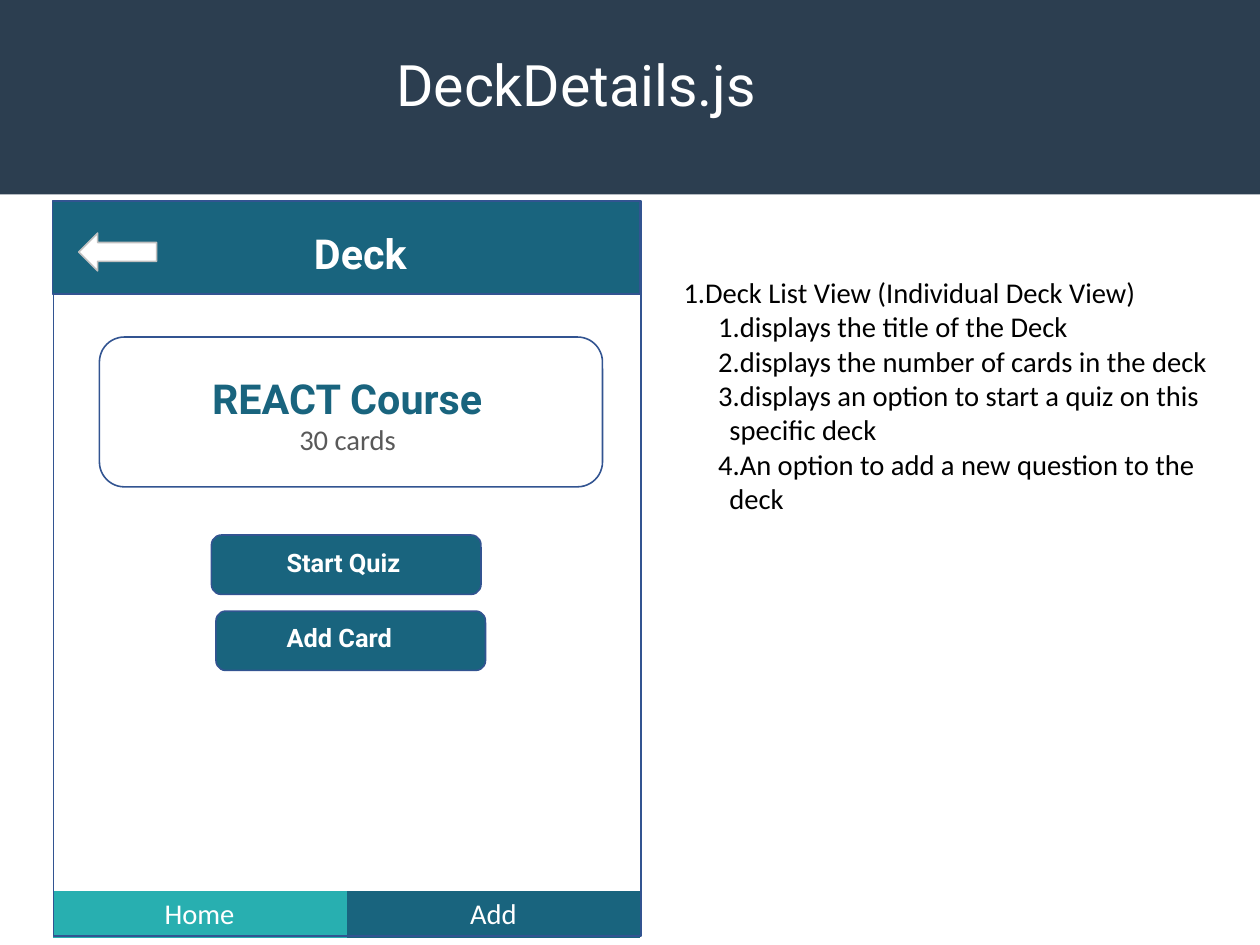
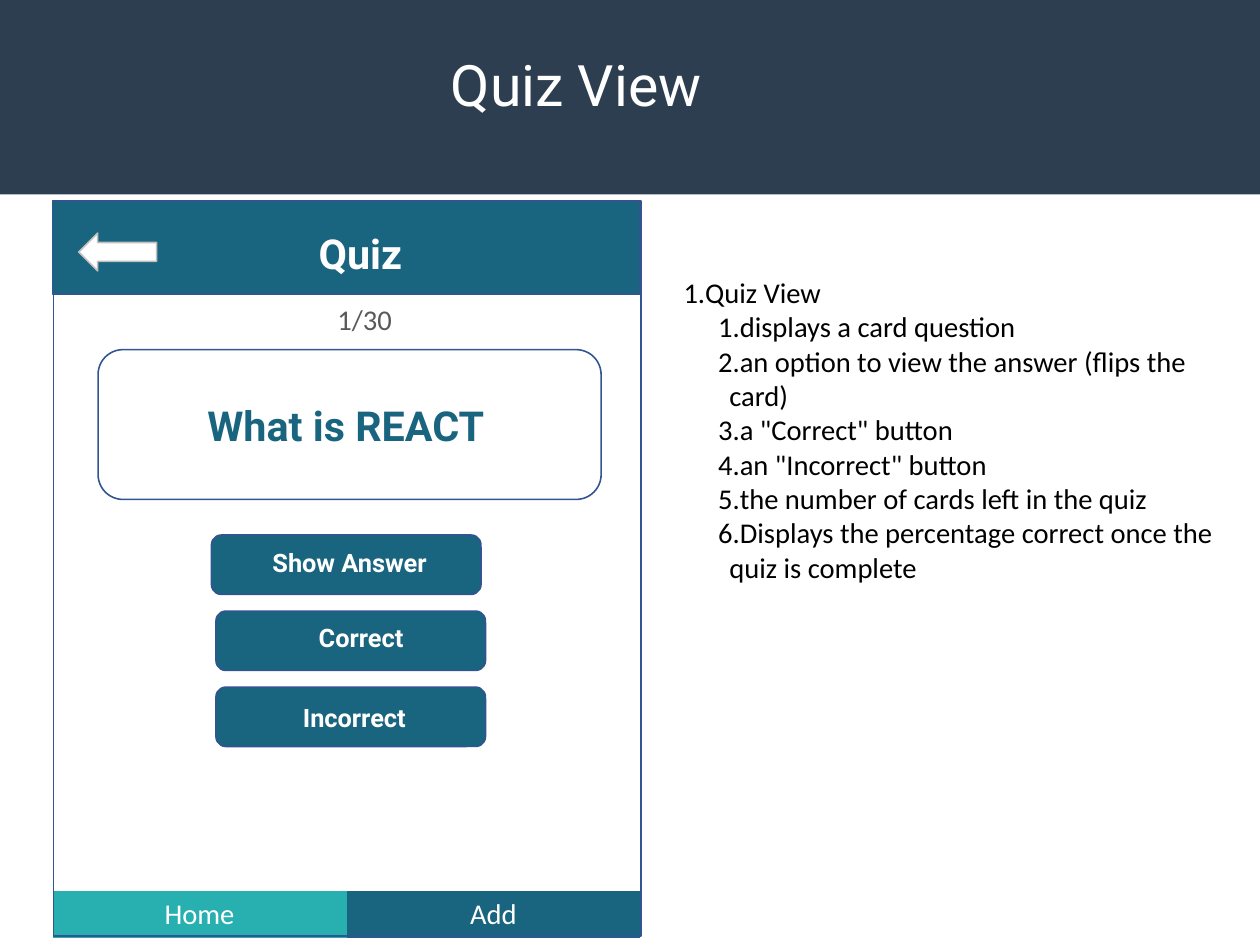
from dataclasses import dataclass

from pptx import Presentation
from pptx.dml.color import RGBColor
from pptx.enum.shapes import MSO_SHAPE as Preset
from pptx.enum.text import MSO_ANCHOR as Anchor, PP_ALIGN as Align
from pptx.oxml.ns import qn
from pptx.util import Cm, Pt

# Colours and fonts
NAVY = RGBColor(0x2C, 0x3E, 0x50)
TEAL = RGBColor(0x19, 0x64, 0x7E)
MINT = RGBColor(0x28, 0xAF, 0xB0)
BLUE = RGBColor(0x32, 0x54, 0x91)
GRAY = RGBColor(0x59, 0x59, 0x59)
SILVER = RGBColor(0xBF, 0xBF, 0xBF)
WHITE = RGBColor(0xFF, 0xFF, 0xFF)
BLACK = RGBColor(0, 0, 0)
HEADING, BODY = "Roboto", "Calibri"
PLAIN_TABLE = "{2D5ABB26-0587-4C30-8999-92F81FD0307C}"


@dataclass
class Box:
    """A rectangle in centimetres."""
    left: float
    top: float
    width: float
    height: float

    def inner(self, left, top, width, height):
        return Box(self.left + left, self.top + top, width, height)

    def lengths(self):
        return [Cm(n) for n in (self.left, self.top, self.width, self.height)]


SLIDE = Box(0, 0, 28, 21)
PHONE = Box(1.19, 4.47, 13.06, 16.33)
BUTTON_TOP, BUTTON_PITCH = 7.42, 1.69


# Basic parts
def style_para(para, size, color, font=BODY, bold=False, align=Align.CENTER):
    para.alignment = align
    for span in para.runs:
        span.font.size = Pt(size)
        span.font.name = font
        span.font.bold = bold
        span.font.color.rgb = color


def add_text(page, box, text, size, color, wrap=True, anchor=Anchor.TOP, **style):
    frame = page.shapes.add_textbox(*box.lengths()).text_frame
    frame.word_wrap = wrap
    frame.vertical_anchor = anchor
    frame.text = text
    for para in frame.paragraphs:
        style_para(para, size, color, **style)
    return frame


def add_block(page, preset, box, fill=None, line=None):
    shape = page.shapes.add_shape(preset, *box.lengths())
    shape.shadow.inherit = False
    if fill is None:
        shape.fill.background()
    else:
        shape.fill.solid()
        shape.fill.fore_color.rgb = fill
    if line is None:
        shape.line.fill.background()
    else:
        shape.line.color.rgb = line
        shape.line.width = Pt(1)
    return shape


# Title band
def add_title(page, box, title):
    add_block(page, Preset.RECTANGLE, box, NAVY)
    add_text(page, box.inner(1.4, 0.84, 22.81, 2.06), title, 36, WHITE,
             font=HEADING, anchor=Anchor.MIDDLE)


# Tab bar at the foot of the phone
def add_tabs(page, box):
    tabs = (("Home", MINT), ("Add", TEAL))
    frame = page.shapes.add_table(1, len(tabs), *box.lengths())
    for style_id in frame.element.iter(qn("a:tableStyleId")):
        style_id.text = PLAIN_TABLE
    frame.table.first_row = False
    frame.table.horz_banding = False
    for cell, (label, color) in zip(frame.table.rows[0].cells, tabs):
        cell.fill.solid()
        cell.fill.fore_color.rgb = color
        cell.text = label
        style_para(cell.text_frame.paragraphs[0], 18, WHITE)


# Phone frame with its header and back arrow
def add_phone(page, box, heading):
    add_tabs(page, box.inner(-0.02, 15.34, box.width, 1.04))
    add_block(page, Preset.RECTANGLE, box, line=BLUE)
    add_block(page, Preset.RECTANGLE, box.inner(-0.02, 0, box.width, 2.06), TEAL, BLUE)
    add_text(page, box.inner(5.46, 0.48, 2.72, 1.32), heading, 26, WHITE,
             wrap=False, font=HEADING, bold=True)
    add_block(page, Preset.LEFT_ARROW, box.inner(0.56, 0.71, 1.73, 0.84), WHITE, SILVER)


# Outlined card
def add_card(page, box, text, text_top):
    add_block(page, Preset.ROUNDED_RECTANGLE, box, line=BLUE)
    add_text(page, box.inner(1.28, text_top, 8.46, 1.32), text, 26, TEAL,
             font=HEADING, bold=True)


# Stack of buttons: label, button left, label inset (left, top, width), alignment
def add_buttons(page, box, buttons):
    for row, (label, left, inset, align) in enumerate(buttons):
        button = box.inner(left, BUTTON_TOP + row * BUTTON_PITCH, 5.99, 1.32)
        add_block(page, Preset.ROUNDED_RECTANGLE, button, TEAL, BLUE)
        add_text(page, button.inner(*inset, 0.91), label, 16, WHITE,
                 font=HEADING, bold=True, align=align)


# Numbered notes: one heading, then its items one level deeper
def add_notes(page, box, lines):
    frame = add_text(page, box, "\n".join(lines), 18, BLACK, align=Align.LEFT)
    for index, para in enumerate(frame.paragraphs):
        para.level = min(index, 1)
        margin, hanging = (1.02, 0.25) if para.level else (0.23, 0.23)
        props = para._p.get_or_add_pPr()
        props.set("marL", str(Cm(margin)))
        props.set("indent", str(-Cm(hanging)))
        number = props.makeelement(qn("a:buAutoNum"), {"type": "arabicPeriod"})
        props.append(number)


def add_screen(deck, title, heading, card, counter, buttons, notes):
    page = deck.slides.add_slide(deck.slide_layouts[6])
    add_title(page, SLIDE.inner(0, 0, SLIDE.width, 4.32), title)
    add_phone(page, PHONE, heading)
    left, top, text, text_top = card
    add_card(page, PHONE.inner(left, top, 11.18, 3.33), text, text_top)
    left, top, text = counter
    add_text(page, PHONE.inner(left, top, 6.45, 1.04), text, 18, GRAY)
    add_buttons(page, PHONE, buttons)
    add_notes(page, Box(14.94, 5.99, 12.7, 1 + 0.77 * len(notes)), notes)


deck = Presentation()
deck.slide_width, deck.slide_height = Cm(SLIDE.width), Cm(SLIDE.height)

add_screen(
    deck, "DeckDetails.js", "Deck",
    card=(1.02, 3.02, "REACT Course", 0.69),
    counter=(3.31, 4.78, "30 cards"),
    buttons=[
        ("Start Quiz", 3.51, (1.42, 0.15, 3.81), Align.LEFT),
        ("Add Card", 3.61, (1.32, 0.13, 3.81), Align.LEFT),
    ],
    notes=[
        "Deck List View (Individual Deck View)",
        "displays the title of the Deck",
        "displays the number of cards in the deck",
        "displays an option to start a quiz on this specific deck",
        "An option to add a new question to the deck",
    ],
)
add_screen(
    deck, "Quiz View", "Quiz",
    card=(0.99, 3.3, "What is REACT", 0.99),
    counter=(3.69, 2.11, "1/30"),
    buttons=[
        ("Show Answer", 3.51, (0.91, 0.15, 4.32), Align.CENTER),
        ("Correct", 3.61, (1.32, 0.13, 3.81), Align.CENTER),
        ("Incorrect", 3.61, (1.17, 0.2, 3.81), Align.CENTER),
    ],
    notes=[
        "Quiz View",
        "displays a card question",
        "an option to view the answer (flips the card)",
        'a "Correct" button',
        'an "Incorrect" button',
        "the number of cards left in the quiz",
        "Displays the percentage correct once the quiz is complete",
    ],
)
deck.save("out.pptx")
